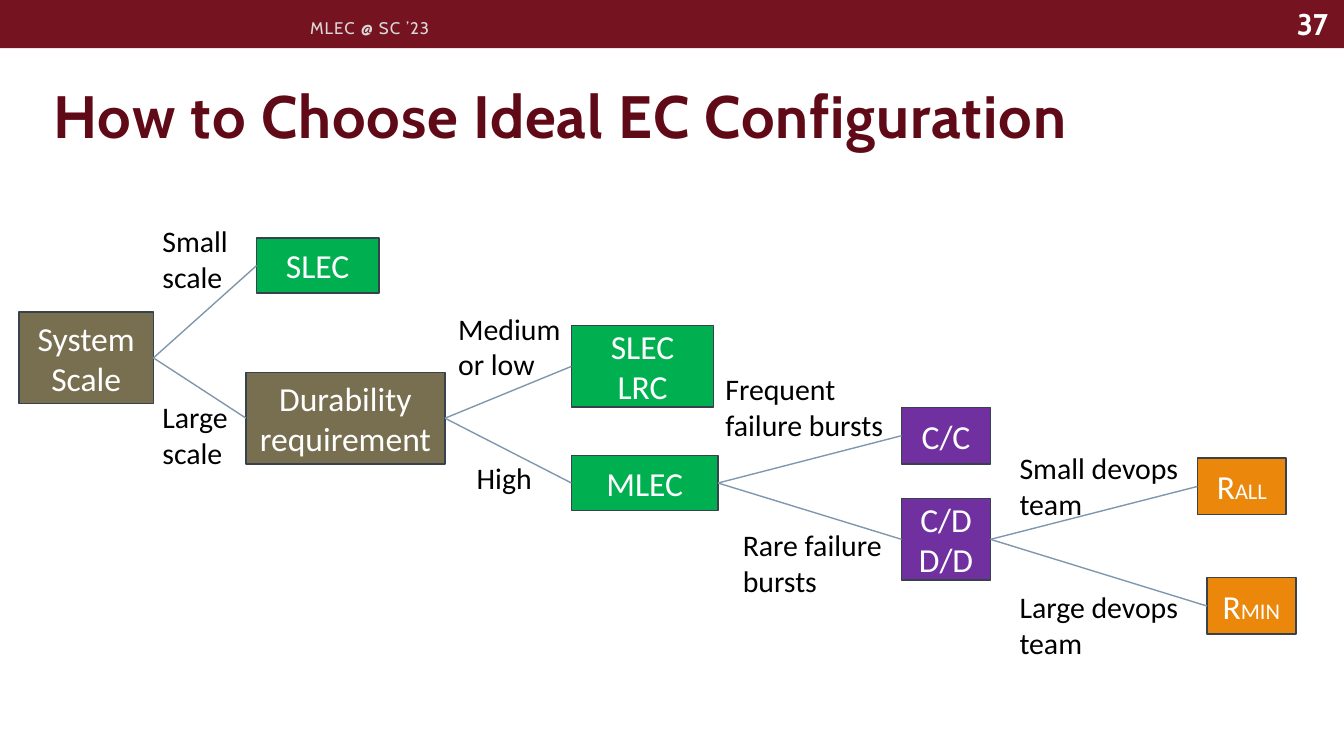
from lxml import etree
from pptx import Presentation
from pptx import util as u
from pptx.dml.color import RGBColor
from pptx.enum import shapes, text
from pptx.oxml import ns

MAROON = RGBColor(0x75, 0x13, 0x20)
WINE = RGBColor(0x60, 0x0A, 0x18)
WHITE = RGBColor(0xFF, 0xFF, 0xFF)
BLACK = RGBColor(0, 0, 0)
SILVER = RGBColor(0xD9, 0xD9, 0xD9)
OLIVE = RGBColor(0x78, 0x6F, 0x51)
GREEN = RGBColor(0x00, 0xB0, 0x50)
PURPLE = RGBColor(0x70, 0x30, 0xA0)
ORANGE = RGBColor(0xEB, 0x88, 0x0B)
SLATE = RGBColor(0x37, 0x42, 0x4C)
STEEL = RGBColor(0x7E, 0x97, 0xAD)

LEFT, RIGHT = 1, 3

NODES = {
    "scale": ("System Scale", OLIVE, 0.36, 1.9, 2.54, 1.73),
    "small": ("SLEC", GREEN, 4.85, 0.5, 2.31, 1.04),
    "need": ("Durability requirement", OLIVE, 4.65, 3.04, 3.76, 1.73),
    "low": ("SLEC\nLRC", GREEN, 10.8, 2.15, 2.69, 1.55),
    "high": ("MLEC", GREEN, 10.8, 4.61, 2.77, 1.04),
    "often": ("C/C", PURPLE, 17.04, 3.7, 1.68, 1.07),
    "rare": ("C/D\nD/D", PURPLE, 17.04, 5.42, 1.68, 1.55),
    "all": ("R|ALL", ORANGE, 22.63, 4.66, 1.68, 1.07),
    "min": ("R|MIN", ORANGE, 22.81, 6.92, 1.68, 1.07),
}
LINKS = [
    ("scale", "small"), ("scale", "need"), ("need", "low"), ("need", "high"),
    ("high", "often"), ("high", "rare"), ("rare", "all"), ("rare", "min"),
]
LABELS = [
    ("Small scale", 2.82, 0.09, 2.31, 1.63),
    ("Large scale", 2.82, 3.42, 2.84, 1.63),
    ("Medium or low", 8.41, 1.74, 2.72, 1.63),
    ("High", 8.76, 4.56, 1.78, 0.94),
    ("Frequent failure bursts", 13.46, 2.88, 3.63, 1.63),
    ("Rare failure bursts", 13.79, 5.83, 3.33, 1.63),
    ("Small devops team", 19.02, 4.38, 3.78, 1.63),
    ("Large devops team", 19.02, 7, 3.78, 1.63),
]


def area(box, x, y, w, h):
    """Return slide lengths for a part placed inside a box."""
    return [u.Cm(n) for n in (box[0] + x, box[1] + y, w, h)]


def write(shape, words, size=16, font="Calibri", color=BLACK, bold=False,
          align=text.PP_ALIGN.LEFT, anchor=text.MSO_ANCHOR.TOP, track=0, sub=12):
    """Fill a shape with text; a bar in a line starts its smaller part."""
    frame = shape.text_frame
    frame.word_wrap = True
    frame.auto_size = text.MSO_AUTO_SIZE.NONE
    frame.vertical_anchor = anchor
    for i, line in enumerate(words.split("\n")):
        para = frame.add_paragraph() if i else frame.paragraphs[0]
        para.alignment = align
        for j, part in enumerate(line.split("|")):
            run = para.add_run()
            run.text = part
            run.font.size = u.Pt(sub if j else size)
            run.font.name = font
            run.font.bold = bold
            run.font.color.rgb = color
            if track:
                run.font._element.set("spc", str(int(track * 100)))


def block(slide, spot, fill, edge=None):
    """Add a flat rectangle."""
    shape = slide.shapes.add_shape(shapes.MSO_SHAPE.RECTANGLE, *spot)
    shape.shadow.inherit = False
    shape.fill.solid()
    shape.fill.fore_color.rgb = fill
    if edge is None:
        shape.line.fill.background()
    else:
        shape.line.color.rgb = edge
        shape.line.width = u.Pt(0.85)
    return shape


def link(slide, start, end):
    """Join the right side of one node to the left side of another."""
    line = slide.shapes.add_connector(shapes.MSO_CONNECTOR.STRAIGHT, 0, 0, 0, 0)
    line.begin_connect(start, RIGHT)
    line.end_connect(end, LEFT)
    line.line.color.rgb = STEEL
    line.line.width = u.Pt(0.75)
    etree.SubElement(line._element.spPr, ns.qn("a:effectLst"))


def header(slide, box):
    """Draw the top band with the venue and the page number."""
    block(slide, area(box, 0, 0, box[2], box[3]), MAROON)
    mid = text.MSO_ANCHOR.MIDDLE
    venue = slide.shapes.add_textbox(*area(box, 5.61, 0.15, 9.04, 0.74))
    write(venue, "MLEC @ SC ’23", size=9, font="Cabin", color=SILVER,
          anchor=mid, track=0.6)
    page = slide.shapes.add_textbox(*area(box, box[2] - 2.29, -0.03, 2.24, 0.94))
    write(page, "37", font="Cabin", color=WHITE, bold=True,
          align=text.PP_ALIGN.RIGHT, anchor=mid)


def heading(slide, box):
    """Place and format the title."""
    title = slide.shapes.title
    title.left, title.top, title.width, title.height = area(box, 0, 0, *box[2:])
    write(title, "How to Choose Ideal EC Configuration", size=32, font="Cabin",
          color=WINE, bold=True, anchor=text.MSO_ANCHOR.BOTTOM, track=0.5)


def tree(slide, box):
    """Draw the decision tree with its nodes, links and labels."""
    nodes = {}
    for key, (words, fill, *spot) in NODES.items():
        nodes[key] = block(slide, area(box, *spot), fill, SLATE)
        write(nodes[key], words, size=18, color=WHITE,
              align=text.PP_ALIGN.CENTER, anchor=text.MSO_ANCHOR.MIDDLE)
    for start, end in LINKS:
        link(slide, nodes[start], nodes[end])
    for words, *spot in LABELS:
        write(slide.shapes.add_textbox(*area(box, *spot)), words)


def main():
    """Build and save the slide."""
    deck = Presentation()
    deck.slide_width, deck.slide_height = u.Cm(25.4), u.Cm(14.29)
    slide = deck.slides.add_slide(deck.slide_layouts[5])
    header(slide, (0, 0, 25.4, 0.91))
    heading(slide, (0.76, 0.58, 23.95, 2.39))
    tree(slide, (0, 4, 25.4, 9))
    deck.save("out.pptx")


if __name__ == "__main__":
    main()
